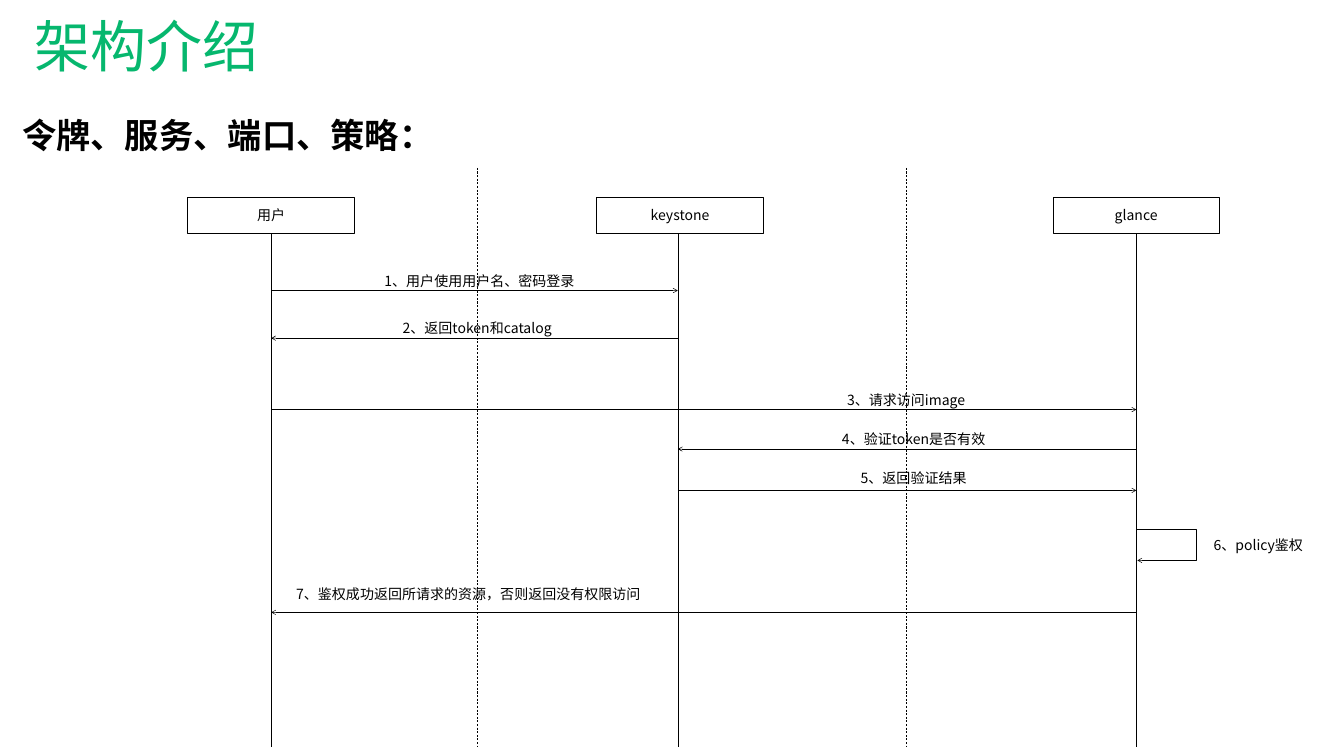
"""Build the token, service, endpoint and policy sequence slide."""
import pptx
import pptx.util
import pptx.dml.color
import pptx.enum.dml
import pptx.enum.shapes
import pptx.enum.text
import pptx.oxml
import pptx.oxml.ns

Pt = pptx.util.Pt
Kind = pptx.enum.shapes.MSO_CONNECTOR
Align = pptx.enum.text.PP_ALIGN
Anchor = pptx.enum.text.MSO_ANCHOR

FONT = "Noto Sans CJK SC"
HUES = {"title": "06B76E", "ink": "000000"}
SIZE = (1920.24, 1080)
TITLE = "架构介绍"
HEAD = "令牌、服务、端口、策略："
ACTORS = [
    {"name": "用户", "mid": 387.3, "line": 387.4},
    {"name": "keystone", "mid": 971.6, "line": 968.4},
    {"name": "glance", "mid": 1623.3, "line": 1623.6},
]
BOX = {"top": 281.2, "wide": 238.3, "high": 52.3}
BREAKS = [681.8, 1294.6]
BREAK_TOP, END = 239.8, 1067
CALLS = [
    (0, 1, 415.1, "1、用户使用用户名、密码登录", 685.1, 400.7, 310),
    (1, 0, 483.1, "2、返回token和catalog", 681.8, 468.4, 260),
    (0, 2, 585.1, "3、请求访问image", 1294.6, 572, 260),
    (2, 1, 641.5, "4、验证token是否有效", 1305.4, 626.8, 260),
    (1, 2, 700.6, "5、返回验证结果", 1305.4, 682.2, 260),
    (2, 0, 874.8, "7、鉴权成功返回所请求的资源，否则返回没有权限访问",
     669.2, 848.5, 576),
]
CHECK = {"text": "6、policy鉴权", "x": 1797.8, "y": 778.3, "wide": 170,
         "left": 1625, "right": 1708.6, "top": 755.7, "end": 800.6}
LABEL_HIGH = 52.5

deck = pptx.Presentation()
deck.slide_width, deck.slide_height = Pt(SIZE[0]), Pt(SIZE[1])
slide = deck.slides.add_slide(deck.slide_layouts[6])
shapes = slide.shapes


def paint(hue):
    return pptx.dml.color.RGBColor.from_string(HUES[hue])


def write(shape, text, size, hue="ink", align=Align.CENTER,
          anchor=Anchor.MIDDLE, bold=False, inset=(7.2, 3.6)):
    frame = shape.text_frame
    frame.word_wrap = True
    frame.vertical_anchor = anchor
    frame.margin_left = frame.margin_right = Pt(inset[0])
    frame.margin_top = frame.margin_bottom = Pt(inset[1])
    para = frame.paragraphs[0]
    para.alignment = align
    run = para.add_run()
    run.text = text
    font = run.font
    font.name, font.size, font.bold = FONT, Pt(size), bold
    font.color.rgb = paint(hue)
    face = pptx.oxml.parse_xml(
        f'<a:ea {pptx.oxml.ns.nsdecls("a")} typeface="{FONT}"/>')
    font._element.find(pptx.oxml.ns.qn("a:latin")).addnext(face)


def place(left, top, wide, high):
    return shapes.add_textbox(Pt(left), Pt(top), Pt(wide), Pt(high))


def label(text, x, y, wide):
    box = place(x - wide / 2, y - LABEL_HIGH / 2, wide, LABEL_HIGH)
    write(box, text, 20)


def draw(x1, y1, x2, y2, arrow=False, dash=False, kind=Kind.STRAIGHT):
    link = shapes.add_connector(kind, Pt(x1), Pt(y1), Pt(x2), Pt(y2))
    link.line.width = Pt(0.75)
    link.line.color.rgb = paint("ink")
    if dash:
        link.line.dash_style = pptx.enum.dml.MSO_LINE.DASH
    if arrow:
        link.line._get_or_add_ln().append(pptx.oxml.parse_xml(
            f'<a:tailEnd {pptx.oxml.ns.nsdecls("a")} type="arrow"/>'))
    link._element.spPr.append(pptx.oxml.parse_xml(
        f'<a:effectLst {pptx.oxml.ns.nsdecls("a")}/>'))
    return link


write(place(49, -0.7, 1640, 128.9), TITLE, 80, "title", Align.LEFT,
      inset=(0, 0))
write(place(24.5, 159.8, 1854, 67.7), HEAD, 49, align=Align.LEFT,
      anchor=Anchor.TOP, bold=True)

for x in BREAKS:
    draw(x, BREAK_TOP, x, END, dash=True)

for actor in ACTORS:
    box = shapes.add_shape(
        pptx.enum.shapes.MSO_SHAPE.RECTANGLE,
        Pt(actor["mid"] - BOX["wide"] / 2), Pt(BOX["top"]),
        Pt(BOX["wide"]), Pt(BOX["high"]))
    box.shadow.inherit = False
    box.fill.background()
    box.line.color.rgb = paint("ink")
    box.line.width = Pt(0)
    write(box, actor["name"], 20)
    draw(actor["line"], BOX["top"] + BOX["high"], actor["line"], END)

for start, stop, y, text, x, mid, wide in CALLS:
    draw(ACTORS[start]["line"], y, ACTORS[stop]["line"], y, arrow=True)
    label(text, x, mid, wide)

bend = draw(CHECK["left"], CHECK["top"], CHECK["right"], CHECK["end"],
            kind=Kind.ELBOW)
geom = bend._element.spPr.find(pptx.oxml.ns.qn("a:prstGeom"))
geom.find(pptx.oxml.ns.qn("a:avLst")).append(pptx.oxml.parse_xml(
    f'<a:gd {pptx.oxml.ns.nsdecls("a")} name="adj1" fmla="val 101300"/>'))
draw(CHECK["right"], CHECK["end"], CHECK["left"], CHECK["end"], arrow=True)
label(CHECK["text"], CHECK["x"], CHECK["y"], CHECK["wide"])

deck.save("out.pptx")
